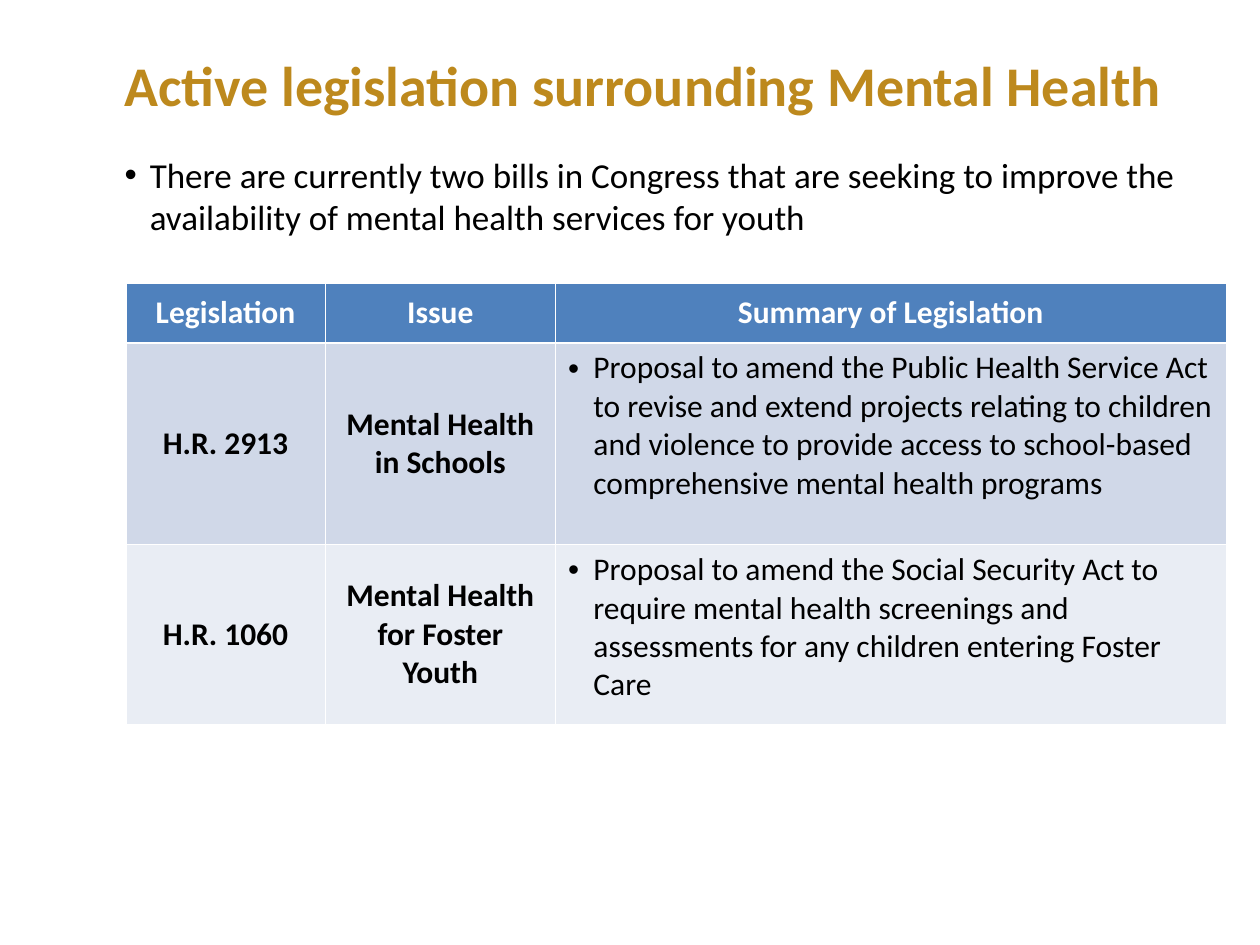
"""Build a slide on active mental health legislation with a table of two bills."""
import pptx
import pptx.util
import pptx.dml.color
import pptx.enum.text
import pptx.oxml.ns
from lxml import etree

Inches, Pt = pptx.util.Inches, pptx.util.Pt
ALIGN, ANCHOR = pptx.enum.text.PP_ALIGN, pptx.enum.text.MSO_ANCHOR

TITLE = "Active legislation surrounding Mental Health"
INTRO = ("There are currently two bills in Congress that are seeking to improve the "
         "availability of mental health services for youth")
HEADER = ("Legislation", "Issue", "Summary of Legislation")
BILLS = [
    ("H.R. 2913", "Mental Health in Schools",
     "Proposal to amend the Public Health Service Act to revise and extend projects "
     "relating to children and violence to provide access to school-based "
     "comprehensive mental health programs"),
    ("H.R. 1060", "Mental Health for Foster Youth",
     "Proposal to amend the Social Security Act to require mental health screenings "
     "and assessments for any children entering Foster Care"),
]
COL_WIDTHS = (1.58, 1.83, 5.32)
ROW_HEIGHTS = (0.47, 1.6, 1.43)
THEME = {
    "font": "Calibri", "title": "BD891D", "text": "000000", "white": "FFFFFF",
    "rows": ("4F81BD", "D0D8E8", "E9EDF4"),
    "title_size": 32, "intro_size": 20, "table_size": 18,
    "thin": 0.45, "thick": 1.47,
}


def rgb(value):
    return pptx.dml.color.RGBColor.from_string(value)


def add_child(parent, tag, **attrs):
    return etree.SubElement(parent, pptx.oxml.ns.qn(tag), **attrs)


def write(tf, text, size, color=THEME["text"], bold=False, align=ALIGN.LEFT, bullet=False):
    tf.word_wrap = True
    p = tf.paragraphs[0]
    p.alignment = align
    if bullet:
        ppr = p._p.get_or_add_pPr()
        ppr.set("marL", str(Inches(0.2)))
        ppr.set("indent", str(-Inches(0.2)))
        add_child(add_child(ppr, "a:buClr"), "a:srgbClr", val=THEME["text"])
        add_child(ppr, "a:buFont", typeface="Arial")
        add_child(ppr, "a:buChar", char="•")
    r = p.add_run()
    r.text = text
    r.font.name, r.font.size, r.font.bold = THEME["font"], Pt(size), bold
    r.font.color.rgb = rgb(color)


def add_text(s, box, text, size, anchor=ANCHOR.TOP, **fmt):
    tf = s.shapes.add_textbox(*map(Inches, box)).text_frame
    tf.vertical_anchor = anchor
    write(tf, text, size, **fmt)


def style_cell(cell, row):
    tcpr = cell._tc.get_or_add_tcPr()
    thick_side = {0: "B", 1: "T"}.get(row)
    for side in "LRTB":
        width = THEME["thick" if side == thick_side else "thin"]
        line = add_child(tcpr, f"a:ln{side}", w=str(Pt(width)))
        add_child(add_child(line, "a:solidFill"), "a:srgbClr", val=THEME["white"])
    cell.fill.solid()
    cell.fill.fore_color.rgb = rgb(THEME["rows"][row])


def add_bill_table(s, left, top):
    rows = [HEADER, *BILLS]
    table = s.shapes.add_table(
        len(rows), len(HEADER), Inches(left), Inches(top),
        Inches(sum(COL_WIDTHS)), Inches(sum(ROW_HEIGHTS))).table
    for column, width in zip(table.columns, COL_WIDTHS):
        column.width = Inches(width)
    for i, texts in enumerate(rows):
        table.rows[i].height = Inches(ROW_HEIGHTS[i])
        for j, text in enumerate(texts):
            cell = table.cell(i, j)
            style_cell(cell, i)
            summary = i > 0 and j == len(HEADER) - 1
            cell.vertical_anchor = ANCHOR.TOP if summary else ANCHOR.MIDDLE
            write(cell.text_frame, text, THEME["table_size"],
                  color=THEME["text" if i else "white"], bold=not summary,
                  align=ALIGN.LEFT if summary else ALIGN.CENTER, bullet=summary)


def main():
    prs = pptx.Presentation()
    prs.slide_width, prs.slide_height = Inches(10), Inches(7.5)
    s = prs.slides.add_slide(prs.slide_layouts[6])
    add_text(s, (0.89, 0.33, 8.58, 0.67), TITLE, THEME["title_size"],
             anchor=ANCHOR.MIDDLE, color=THEME["title"], bold=True)
    add_bill_table(s, 1, 2.25)
    add_text(s, (0.89, 1.17, 8.85, 1.21), INTRO, THEME["intro_size"], bullet=True)
    prs.save("out.pptx")


if __name__ == "__main__":
    main()
